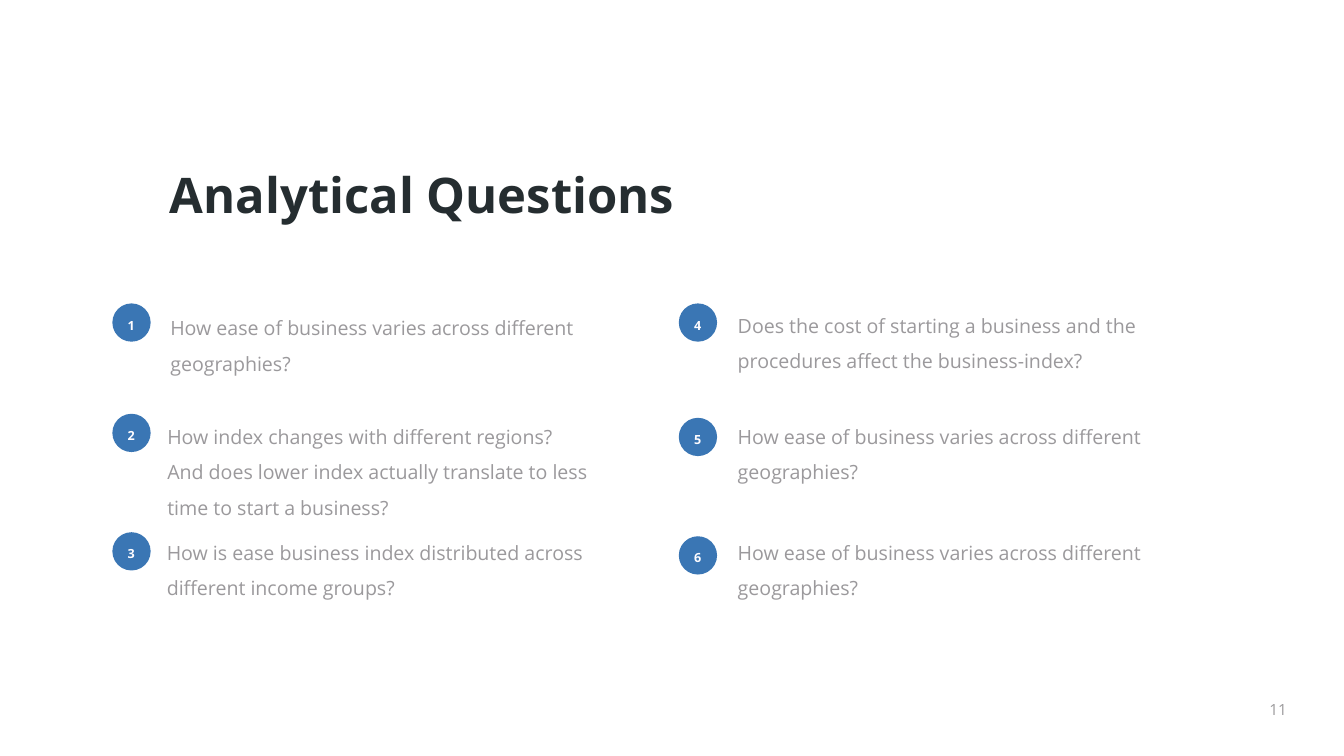
"""Build the Analytical Questions slide with six numbered questions."""
import pptx
import pptx.dml.color
import pptx.enum.shapes
import pptx.enum.text
import pptx.util

Inches = pptx.util.Inches
Align = pptx.enum.text.PP_ALIGN


def color(value):
    return pptx.dml.color.RGBColor.from_string(value)


def add_text(shapes, text, place, size, ink, align=None, bold=False, inset=0.04, wrap=True):
    box = shapes.add_textbox(*[Inches(length) for length in place])
    frame = box.text_frame
    frame.text = text
    frame.word_wrap = wrap
    frame.auto_size = pptx.enum.text.MSO_AUTO_SIZE.SHAPE_TO_FIT_TEXT
    frame.margin_left = frame.margin_right = Inches(inset)
    frame.margin_top = frame.margin_bottom = Inches(inset)
    para = frame.paragraphs[0]
    para.alignment = align
    para.line_spacing = 1.5
    font = para.runs[0].font
    font.name = "Open Sans"
    font.size = pptx.util.Pt(size)
    font.bold = bold
    font.color.rgb = color(ink)


deck = pptx.Presentation()
deck.slide_width = Inches(26.67)
deck.slide_height = Inches(15)
page = deck.slides.add_slide(deck.slide_layouts[6])

add_text(page.shapes, "11", (25.15, 13.67, 0.45, 0.5), 22, "9B9A9C", Align.JUSTIFY, wrap=False)
add_text(page.shapes, "Analytical Questions", (3.33, 2.65, 10.36, 1.66), 70, "252D30",
         Align.JUSTIFY, bold=True)

repeated = "How ease of business varies across different geographies?"
columns = [
    (2.23, [
        (6.02, 3.33, 5.99, 1.44, repeated),
        (8.21, 3.27, 8.15, 2.15, "How index changes with different regions? And does lower "
         "index actually translate to less time to start a business?"),
        (10.56, 3.26, 10.45, 1.44,
         "How is ease business index distributed across different income groups?"),
    ]),
    (13.47, [
        (6.02, 14.59, 5.94, 1.44, "Does the cost of starting a business and the procedures "
         "affect the business-index?"),
        (8.29, 14.59, 8.14, 1.44, repeated),
        (10.64, 14.59, 10.45, 1.44, repeated),
    ]),
]

number = 0
for badge_left, questions in columns:
    badges = page.shapes.add_group_shape()
    for badge_top, left, top, height, question in questions:
        number += 1
        circle = badges.shapes.add_shape(
            pptx.enum.shapes.MSO_SHAPE.OVAL,
            Inches(badge_left), Inches(badge_top), Inches(0.76), Inches(0.76))
        circle.shadow.inherit = False
        circle.fill.solid()
        circle.fill.fore_color.rgb = color("3A76B4")
        circle.line.fill.background()
        add_text(badges.shapes, str(number), (badge_left, badge_top + 0.09, 0.75, 0.42),
                 18, "FEFCFF", Align.CENTER, bold=True)
        add_text(page.shapes, question, (left, top, 8.5, height), 28, "9B999C", inset=0.05)

deck.save("out.pptx")
